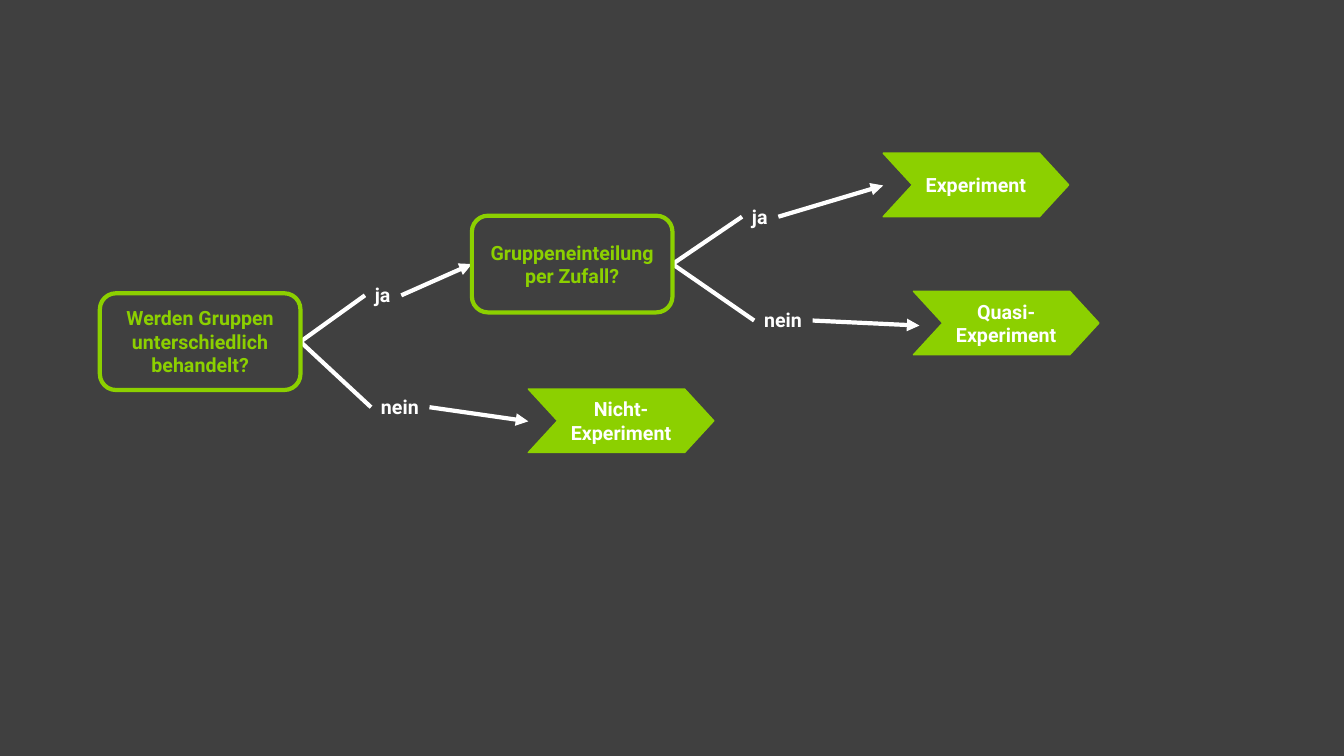
import pptx
import pptx.util
import pptx.dml.color
import pptx.enum.shapes
import pptx.enum.text
import pptx.oxml
import pptx.oxml.ns

Inches = pptx.util.Inches
Shape = pptx.enum.shapes.MSO_SHAPE
GREEN = "8CD000"
WHITE = "FFFFFF"
GREY = "404040"


def paint(fill, color):
    fill.solid()
    fill.fore_color.rgb = pptx.dml.color.RGBColor.from_string(color)


def write(frame, words, color, align):
    para = frame.paragraphs[0]
    para.alignment = align
    run = para.add_run()
    run.text = words
    run.font.name = "Roboto"
    run.font.size = pptx.util.Pt(14)
    run.font.bold = True
    paint(run.font.fill, color)


def node(slide, kind, left, top, width, height, words, color, weight):
    shape = slide.shapes.add_shape(
        kind, Inches(left), Inches(top), Inches(width), Inches(height))
    shape.shadow.inherit = False
    paint(shape.line.fill, GREEN)
    shape.line.width = pptx.util.Pt(weight)
    frame = shape.text_frame
    frame.word_wrap = True
    frame.vertical_anchor = pptx.enum.text.MSO_ANCHOR.MIDDLE
    write(frame, words, color, pptx.enum.text.PP_ALIGN.CENTER)
    return shape


def question(slide, left, top, words):
    shape = node(slide, Shape.ROUNDED_RECTANGLE, left, top, 1.99, 0.96,
                 words, GREEN, 3)
    shape.fill.background()


def result(slide, left, top, words):
    shape = node(slide, Shape.CHEVRON, left, top, 1.84, 0.63,
                 words, WHITE, 1)
    shape.adjustments[0] = 0.46
    paint(shape.fill, GREEN)


def label(slide, left, top, width, words):
    box = slide.shapes.add_textbox(
        Inches(left), Inches(top), Inches(width), Inches(0.34))
    frame = box.text_frame
    frame.word_wrap = False
    frame.auto_size = pptx.enum.text.MSO_AUTO_SIZE.SHAPE_TO_FIT_TEXT
    write(frame, words, WHITE, pptx.enum.text.PP_ALIGN.LEFT)


def link(slide, start, end, arrow=False):
    line = slide.shapes.add_connector(
        pptx.enum.shapes.MSO_CONNECTOR.STRAIGHT,
        *(Inches(value) for value in start + end))
    paint(line.line.fill, WHITE)
    line.line.width = pptx.util.Pt(3)
    if arrow:
        tail = pptx.oxml.parse_xml(
            '<a:tailEnd %s type="triangle"/>' % pptx.oxml.ns.nsdecls("a"))
        line.line._get_or_add_ln().append(tail)
    line._element.spPr.append(pptx.oxml.parse_xml(
        "<a:effectLst %s/>" % pptx.oxml.ns.nsdecls("a")))


def branch(slide, start, left, level, words, end):
    width = {"ja": 0.36, "nein": 0.58}[words]
    link(slide, start, (left, level))
    label(slide, left, level - 0.17, width, words)
    link(slide, (left + width, level), end, True)


def main():
    deck = pptx.Presentation()
    deck.slide_width = Inches(13.33)
    deck.slide_height = Inches(7.5)
    slide = deck.slides.add_slide(deck.slide_layouts[6])
    paint(slide.background.fill, GREY)

    result(slide, 9.06, 2.89, "Quasi-Experiment")
    result(slide, 5.24, 3.86, "Nicht-Experiment")
    result(slide, 8.76, 1.52, "Experiment")

    first = (2.98, 3.39)
    second = (6.67, 2.62)
    branch(slide, first, 3.62, 2.93, "ja", (4.68, 2.62))
    branch(slide, first, 3.68, 4.04, "nein", (5.24, 4.18))
    branch(slide, second, 7.36, 2.15, "ja", (8.76, 1.84))
    branch(slide, second, 7.48, 3.18, "nein", (9.12, 3.23))

    question(slide, 4.68, 2.14, "Gruppeneinteilung per Zufall?")
    question(slide, 0.99, 2.91, "Werden Gruppen unterschiedlich behandelt?")

    deck.save("out.pptx")


if __name__ == "__main__":
    main()
